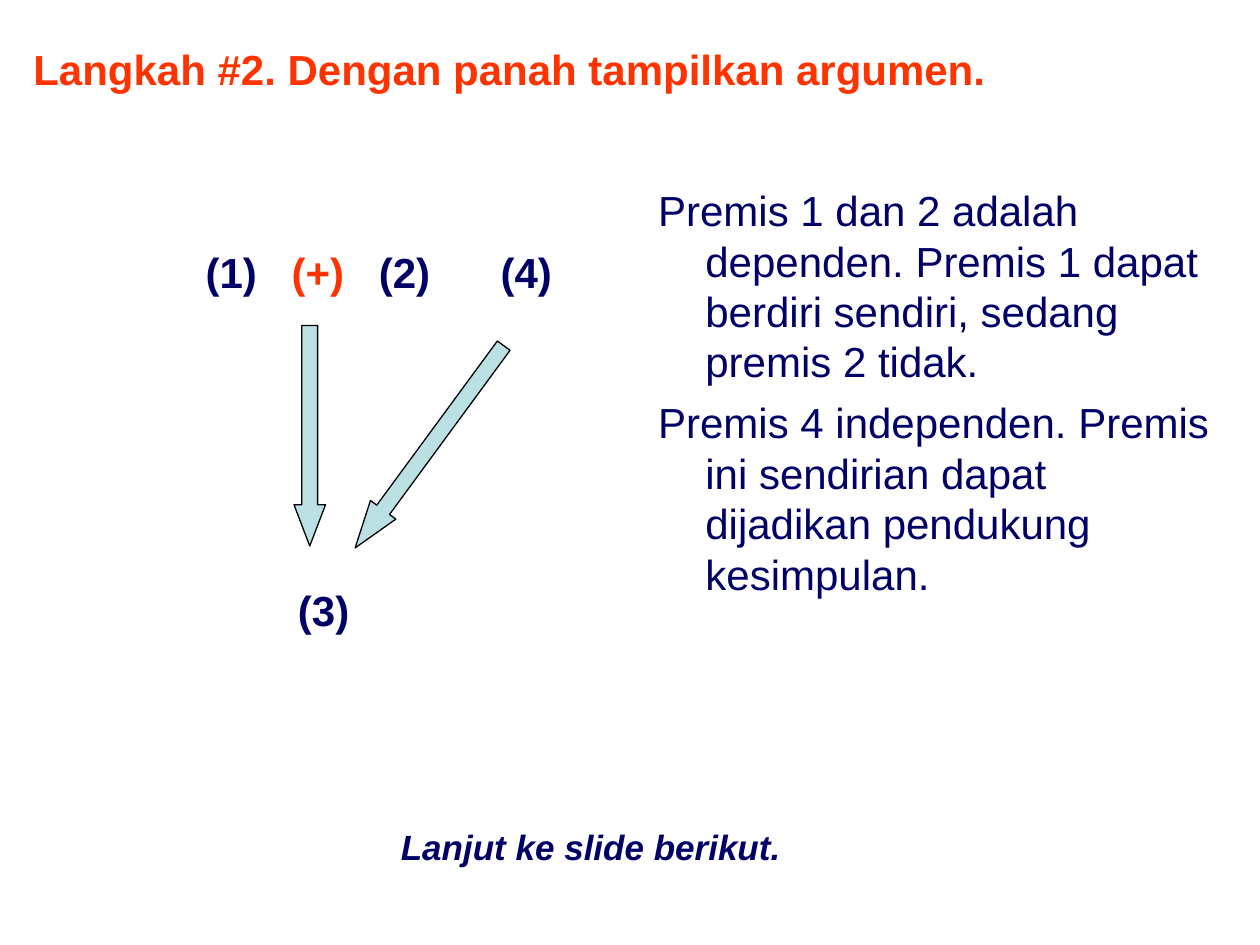
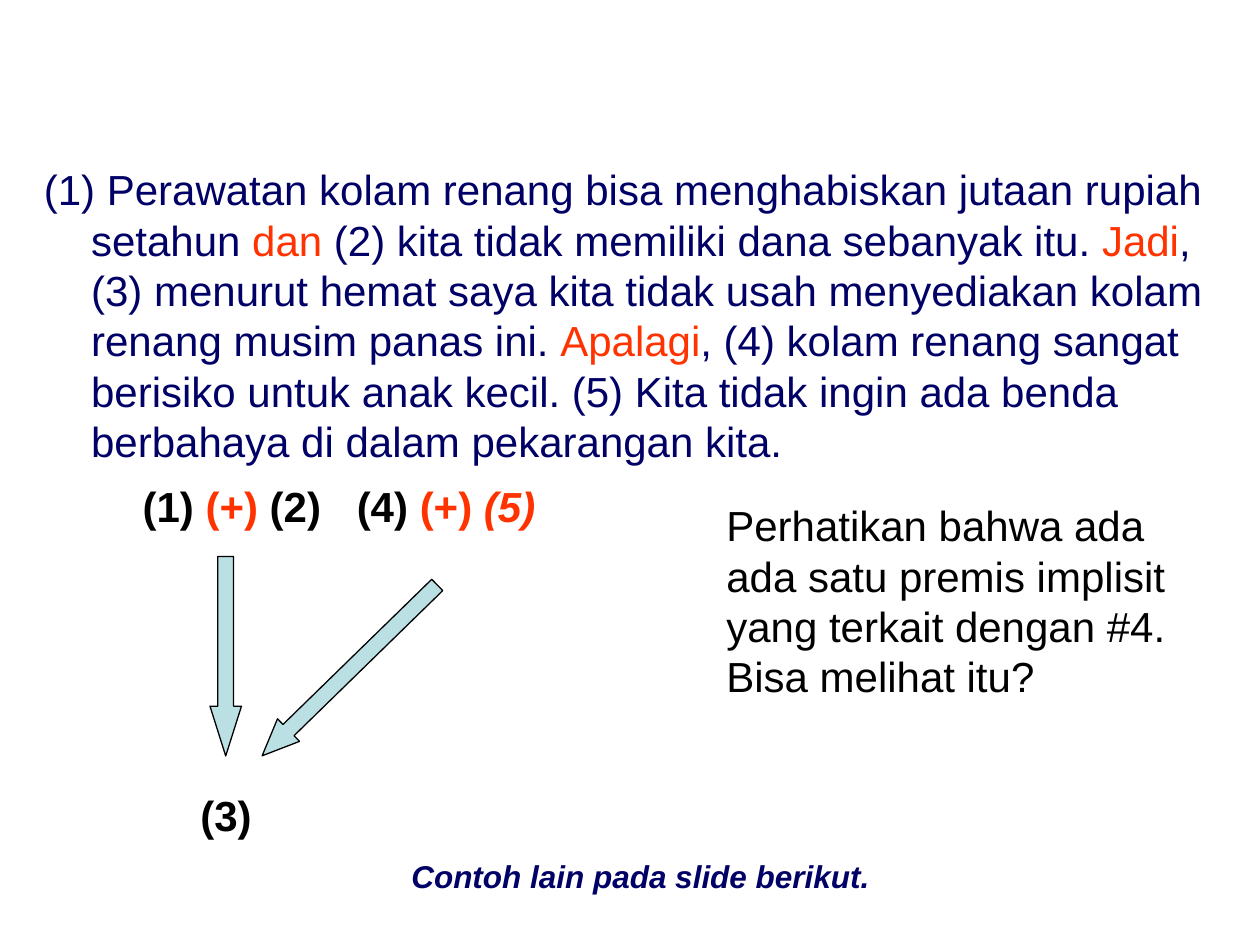
"""Build two slides that diagram how premises support a conclusion."""
from lxml import etree
from pptx import Presentation, util as u
from pptx.dml.color import RGBColor
from pptx.enum import shapes, text
from pptx.oxml import ns

COLORS = {"navy": "000066", "red": "FF3300", "black": "000000", "teal": "BBE0E3"}
COLUMNS, ROWS = 120, 90
CELL = u.Inches(10) / COLUMNS
HANGING = 4.5

BODY = {"name": "Arial", "size": u.Pt(24)}
STRONG = {**BODY, "bold": True}
IMPLICIT = {**STRONG, "italic": True}
FOOTERS = [{**IMPLICIT, "size": u.Pt(size)} for size in (20, 18)]


def span(cells):
    return u.Emu(round(cells * CELL))


def write(slide, grid, paragraphs, style, hanging=0, anchor="TOP"):
    """Add a text box; each paragraph is (space before, tab stops, pieces)."""
    box = slide.shapes.add_textbox(*map(span, grid))
    frame = box.text_frame
    frame.word_wrap = True
    frame.vertical_anchor = text.MSO_ANCHOR[anchor]
    for number, (space, stops, pieces) in enumerate(paragraphs):
        line = frame.paragraphs[0] if number == 0 else frame.add_paragraph()
        props = line._p.get_or_add_pPr()
        if hanging:
            props.set("marL", str(span(hanging)))
            props.set("indent", str(-span(hanging)))
        if stops:
            tabs = etree.SubElement(props, ns.qn("a:tabLst"))
            for stop in stops:
                etree.SubElement(tabs, ns.qn("a:tab"), pos=str(span(stop)), algn="l")
        if space:
            line.space_before = u.Pt(space)
        for words, color, *special in pieces:
            run = line.add_run()
            run.text = words
            for attribute, value in (special[0] if special else style).items():
                setattr(run.font, attribute, value)
            run.font.color.rgb = RGBColor.from_string(COLORS[color])


deck = Presentation()
deck.slide_width, deck.slide_height = span(COLUMNS), span(ROWS)
steps, pool = [deck.slides.add_slide(deck.slide_layouts[6]) for _ in range(2)]

write(steps, (2, 2, 95, 9),
      [(0, [], [("Langkah #2. Dengan panah tampilkan argumen.", "red")])],
      STRONG, anchor="MIDDLE")
write(steps, (61.5, 17, 55.5, 57), [
    (0, [], [("Premis 1 dan 2 adalah dependen. Premis 1 dapat berdiri sendiri, "
              "sedang premis 2 tidak.", "navy")]),
    (6, [], [("Premis 4 independen. Premis ini sendirian dapat dijadikan "
              "pendukung kesimpulan.", "navy")]),
], BODY, HANGING)

write(pool, (3, 15, 113, 30), [(0, [], [
    ("(1) Perawatan kolam renang bisa menghabiskan jutaan rupiah setahun ", "navy"),
    ("dan ", "red"),
    ("(2) kita tidak memiliki dana sebanyak itu. ", "navy"),
    ("Jadi", "red"),
    (", (3) menurut hemat saya kita tidak usah menyediakan kolam renang musim "
     "panas ini. ", "navy"),
    ("Apalagi", "red"),
    (", (4) kolam renang sangat berisiko untuk anak kecil. (5) Kita tidak ingin "
     "ada benda berbahaya di dalam pekarangan kita.", "navy"),
])], BODY, HANGING)
write(pool, (68, 47, 47, 20.4),
      [(0, [], [("Perhatikan bahwa ada ada satu premis implisit yang terkait "
                 "dengan #4. Bisa melihat itu?", "black")])], BODY)

write(steps, (18.4, 22.9, 41, 37), [
    (0, [8.2, 16.5, 28.1],
     [("(1)\t", "navy"), ("(+)\t", "red"), ("(2)\t(4)", "navy")]),
    (164.4, [8.8], [("\t(3)", "navy")]),
], STRONG)
write(pool, (12.4, 45.2, 42, 35), [
    (0, [20.4], [("(1) ", "black"), ("(+)", "red"), (" (2)\t(4) ", "black"),
                 ("(+) ", "red"), ("(5)", "red", IMPLICIT)]),
    (147.8, [5.5], [("\t(3)", "black")]),
], STRONG)

for slide, grid, turn, head in (
    (steps, (28, 31, 3, 21), 0, 1.31),
    (steps, (39.4, 30.6, 3, 23.9), 36.3, 1.5),
    (pool, (20, 53, 3, 19), 0, 1.58),
    (pool, (31.8, 52.2, 3, 23.3), 45.7, 1.17),
):
    support = slide.shapes.add_shape(shapes.MSO_SHAPE.DOWN_ARROW, *map(span, grid))
    support.shadow.inherit = False
    support.rotation = turn
    support.adjustments[0], support.adjustments[1] = 0.5, head
    support.fill.solid()
    support.fill.fore_color.rgb = RGBColor.from_string(COLORS["teal"])
    support.line.color.rgb = RGBColor.from_string(COLORS["black"])
    support.line.width = u.Pt(0.75)

for slide, grid, prompt, style in (
    (steps, (37, 78, 42, 5.3), "Lanjut ke slide berikut.", FOOTERS[0]),
    (pool, (38, 81, 49, 4.8), "Contoh lain pada slide berikut.", FOOTERS[1]),
):
    write(slide, grid, [(0, [], [(prompt, "navy")])], style)

deck.save("out.pptx")
